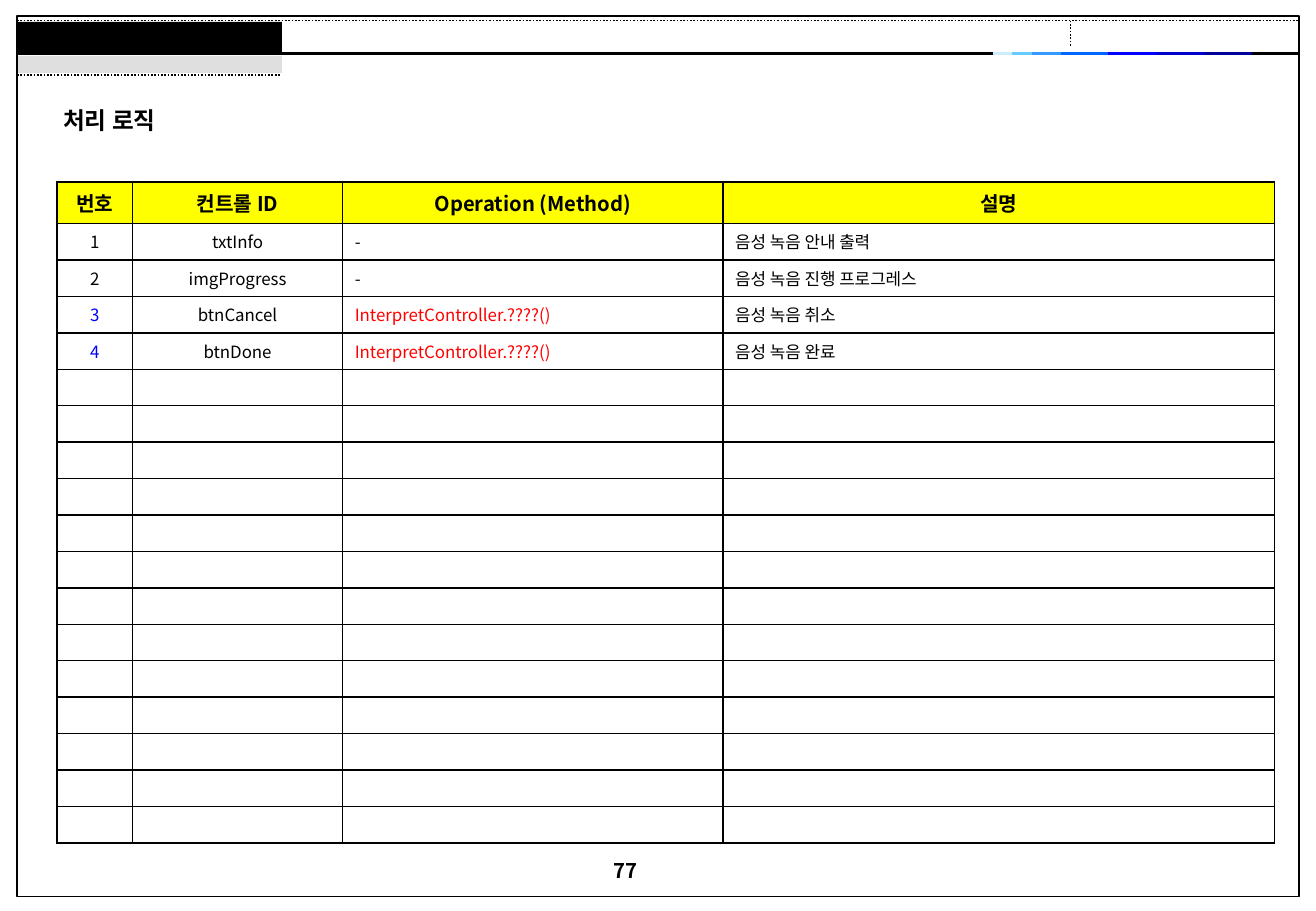
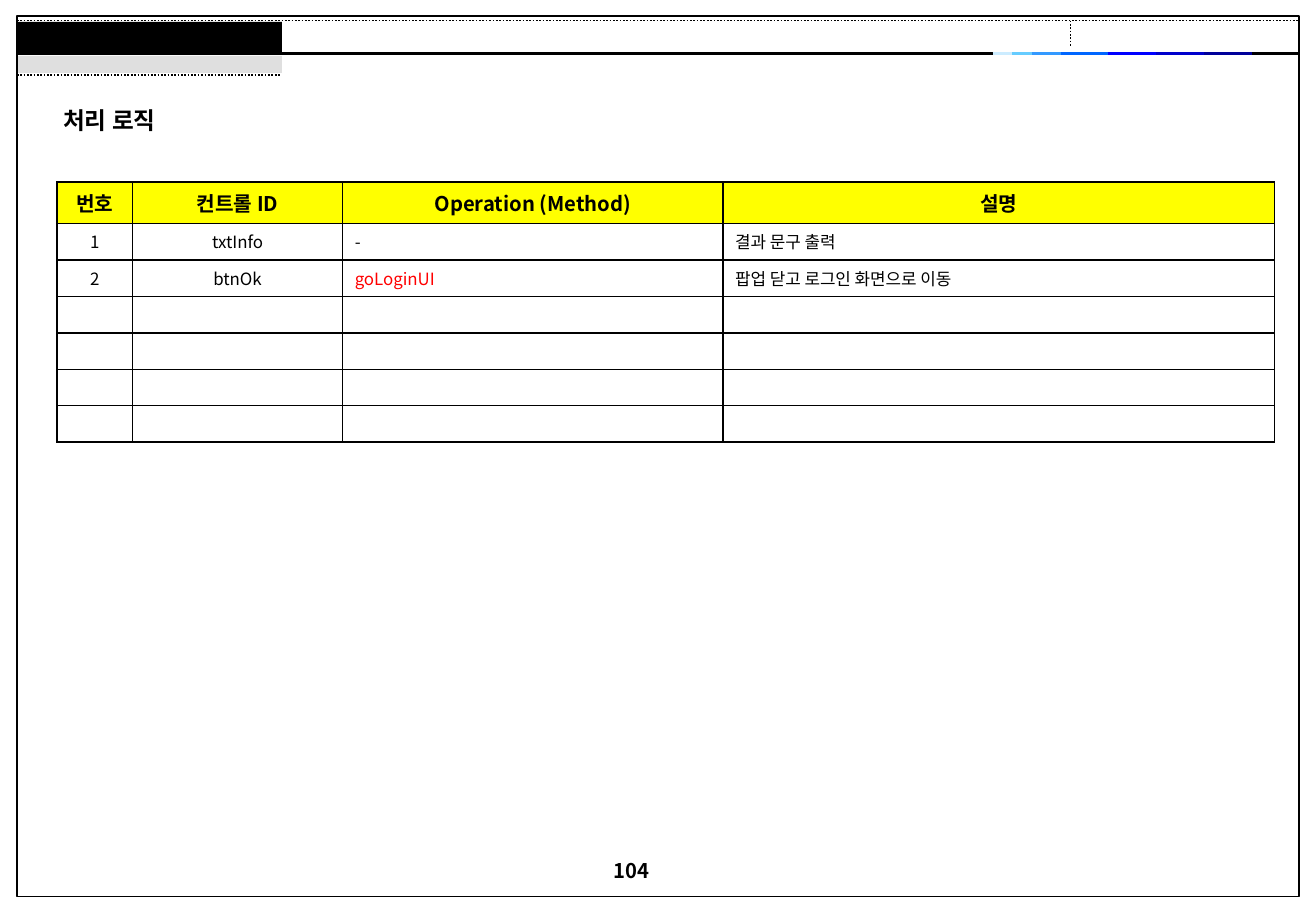
from dataclasses import dataclass
from itertools import pairwise

from lxml import etree
from pptx import Presentation
from pptx.dml.color import RGBColor
from pptx.enum.dml import MSO_LINE
from pptx.enum.shapes import MSO_CONNECTOR, MSO_SHAPE
from pptx.enum.text import MSO_ANCHOR, MSO_AUTO_SIZE, PP_ALIGN
from pptx.oxml.ns import qn
from pptx.util import Inches, Pt

LEFT, CENTER = PP_ALIGN.LEFT, PP_ALIGN.CENTER
MIDDLE, TOP = MSO_ANCHOR.MIDDLE, MSO_ANCHOR.TOP
NO_AUTOFIT = MSO_AUTO_SIZE.NONE
DOTTED = MSO_LINE.ROUND_DOT
STRAIGHT = MSO_CONNECTOR.STRAIGHT
RECTANGLE = MSO_SHAPE.RECTANGLE


@dataclass(frozen=True)
class Theme:
    font: str = "Noto Sans CJK KR"
    ink: str = "000000"
    header: str = "FFFF00"
    number_accent: str = "0000FF"
    operation: str = "FF0000"
    tab: str = "C0C0C0"
    stripe: tuple = ("CCECFF", "66CCFF", "3399FF", "0066FF",
                     "0000FF", "0000CC", "000099")
    title_size: float = 14
    header_size: float = 12
    body_size: float = 10
    thin: float = 1
    thick: float = 2.25


THEME = Theme()
STRIPE_STOPS = (8.17, 8.33, 8.49, 8.73, 9.12, 9.51, 9.91, 10.3)
COLUMN_WIDTHS = (0.62, 1.73, 3.13, 4.54)
COLUMN_ALIGNMENTS = (CENTER, CENTER, LEFT, LEFT)
HEADINGS = ("번호", "컨트롤 ID", "Operation (Method)", "설명")
HEADER_HEIGHT, ROW_HEIGHT = 0.34, 0.3


def write_text(frame, text, size=THEME.body_size, color=THEME.ink,
               bold=False, align=LEFT):
    paragraph = frame.paragraphs[0]
    paragraph.alignment = align
    if not text:
        etree.SubElement(paragraph._p, qn("a:endParaRPr"),
                         sz=str(int(size * 100)))
        return
    run = paragraph.add_run()
    run.text = text
    font = run.font
    font.size = Pt(size)
    font.bold = bold
    font.color.rgb = RGBColor.from_string(color)
    font.name = THEME.font
    etree.SubElement(font._element, qn("a:ea"), typeface=THEME.font)


def add_borders(cell):
    properties = cell._tc.get_or_add_tcPr()
    for side in ("lnL", "lnR", "lnT", "lnB"):
        border = etree.SubElement(properties, qn(f"a:{side}"),
                                  w=str(Pt(THEME.thin)))
        fill = etree.SubElement(border, qn("a:solidFill"))
        etree.SubElement(fill, qn("a:srgbClr"), val=THEME.ink)


class Deck:
    def __init__(self, theme):
        self.theme = theme
        self.presentation = Presentation()
        self.presentation.slide_width = Inches(10.83)
        self.presentation.slide_height = Inches(7.5)
        self.slide = None

    def new_slide(self, title, number):
        layout = self.presentation.slide_layouts[5]
        self.slide = self.presentation.slides.add_slide(layout)
        self.frame()
        self.title(title)
        self.page_number(number)

    def line(self, left, top, right, bottom, color=None, width=None,
             dash=None):
        connector = self.slide.shapes.add_connector(
            STRAIGHT, Inches(left), Inches(top), Inches(right), Inches(bottom))
        connector.line.color.rgb = RGBColor.from_string(
            color or self.theme.ink)
        connector.line.width = Pt(width or self.theme.thin)
        if dash:
            connector.line.dash_style = dash
        etree.SubElement(connector._element.spPr, qn("a:effectLst"))

    def rectangle(self, left, top, width, height, fill=None, opacity=None):
        shape = self.slide.shapes.add_shape(
            RECTANGLE, Inches(left), Inches(top), Inches(width),
            Inches(height))
        shape.shadow.inherit = False
        if fill is None:
            shape.fill.background()
            shape.line.color.rgb = RGBColor.from_string(self.theme.ink)
            shape.line.width = Pt(self.theme.thin)
            return
        shape.fill.solid()
        shape.fill.fore_color.rgb = RGBColor.from_string(fill)
        shape.line.fill.background()
        if opacity:
            color = shape._element.spPr.find(".//" + qn("a:srgbClr"))
            etree.SubElement(color, qn("a:alpha"), val=str(opacity * 1000))

    def frame(self):
        theme = self.theme
        self.rectangle(0.14, 0.13, 10.55, 7.25)
        self.line(0.14, 0.44, 10.69, 0.44, width=theme.thick)
        self.line(0.14, 0.17, 10.69, 0.17, dash=DOTTED)
        for (start, end), color in zip(pairwise(STRIPE_STOPS), theme.stripe):
            self.line(start, 0.44, end, 0.44, color=color, width=theme.thick)
        self.line(8.81, 0.17, 8.81, 0.38, dash=DOTTED)
        self.rectangle(0.15, 0.18, 2.17, 0.25, fill=theme.ink)
        self.rectangle(0.15, 0.46, 2.17, 0.14, fill=theme.tab, opacity=50)
        self.line(0.14, 0.62, 2.31, 0.62, dash=DOTTED)

    def title(self, text):
        title = self.slide.shapes.title
        title.left, title.top = Inches(0.42), Inches(0.82)
        title.width, title.height = Inches(2.01), Inches(0.34)
        frame = title.text_frame
        frame.auto_size = NO_AUTOFIT
        frame.vertical_anchor = MIDDLE
        write_text(frame, text, size=self.theme.title_size, bold=True)

    def page_number(self, number):
        box = self.slide.shapes.add_textbox(
            Inches(4.95), Inches(7.02), Inches(0.94), Inches(0.44))
        box.text_frame.word_wrap = True
        box.text_frame.vertical_anchor = TOP
        write_text(box.text_frame, str(number), size=self.theme.header_size,
                   bold=True)

    def table(self, controls, row_count, accented=()):
        theme = self.theme
        height = HEADER_HEIGHT + row_count * ROW_HEIGHT
        table = self.slide.shapes.add_table(
            row_count + 1, len(HEADINGS), Inches(0.47), Inches(1.5),
            Inches(sum(COLUMN_WIDTHS)), Inches(height)).table
        table.first_row = table.horz_banding = False
        for column, width in zip(table.columns, COLUMN_WIDTHS):
            column.width = Inches(width)
        for index, row in enumerate(table.rows):
            row.height = Inches(ROW_HEIGHT if index else HEADER_HEIGHT)

        for column, heading in enumerate(HEADINGS):
            self.cell(table.cell(0, column), heading, fill=theme.header,
                      size=theme.header_size, bold=True, align=CENTER)
        blank = ("",) * (len(HEADINGS) - 1)
        for index in range(1, row_count + 1):
            filled = index <= len(controls)
            values = ((str(index), *controls[index - 1]) if filled
                      else ("", *blank))
            colors = [theme.ink] * len(values)
            if index in accented:
                colors[0] = theme.number_accent
            if values[2] != "-":
                colors[2] = theme.operation
            for column, value in enumerate(values):
                self.cell(table.cell(index, column), value,
                          color=colors[column],
                          align=COLUMN_ALIGNMENTS[column])

    def cell(self, cell, text, fill=None, **text_format):
        add_borders(cell)
        if fill:
            cell.fill.solid()
            cell.fill.fore_color.rgb = RGBColor.from_string(fill)
        else:
            cell.fill.background()
        cell.vertical_anchor = MIDDLE
        write_text(cell.text_frame, text, **text_format)


def main():
    deck = Deck(THEME)

    deck.new_slide("처리 로직", 77)
    deck.table([
        ("txtInfo", "-", "음성 녹음 안내 출력"),
        ("imgProgress", "-", "음성 녹음 진행 프로그레스"),
        ("btnCancel", "InterpretController.????()", "음성 녹음 취소"),
        ("btnDone", "InterpretController.????()", "음성 녹음 완료"),
    ], row_count=17, accented=(3, 4))

    deck.new_slide("처리 로직", 104)
    deck.table([
        ("txtInfo", "-", "결과 문구 출력"),
        ("btnOk", "goLoginUI", "팝업 닫고 로그인 화면으로 이동"),
    ], row_count=6)

    deck.presentation.save("out.pptx")


if __name__ == "__main__":
    main()
